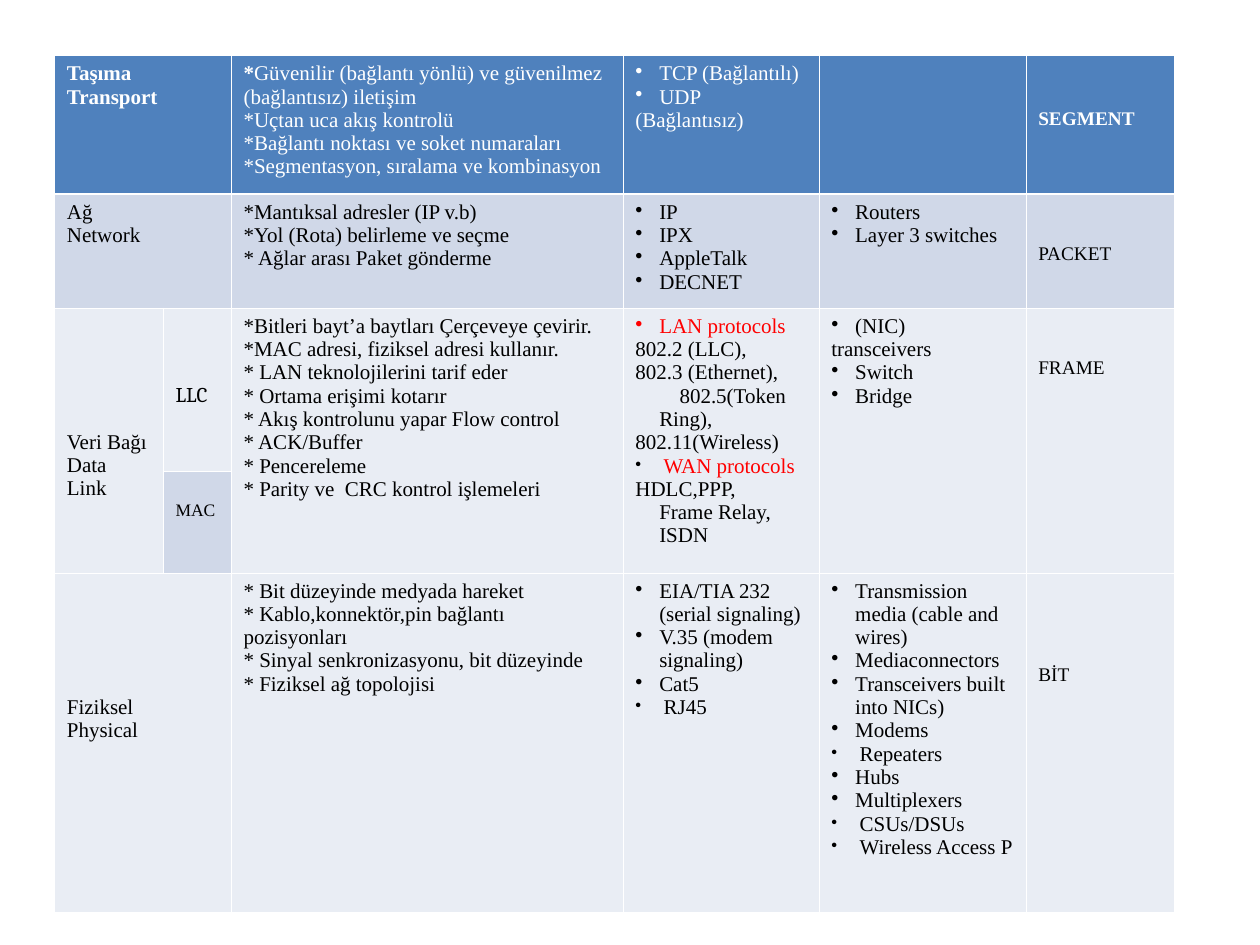
from dataclasses import dataclass
from lxml.etree import SubElement as Sub
from pptx import Presentation as Deck
from pptx.dml.color import RGBColor as Rgb
from pptx.oxml.ns import qn
from pptx.table import Table, _Cell
from pptx.util import Cm, Pt

HUES = {"head": "4F81BD", "band": "D0D8E8", "pale": "E9EDF4",
        "white": "FFFFFF", "black": "000000", "red": "FF0000"}
COLS = [2.19, 1.37, 7.9, 3.95, 4.17, 2.99]
ROWS = [2.79, 2.3, 3.3, 2.04, 6.84]
FILLS = ["head", "band", "pale", "pale", "pale"]
STEP = 0.48


@dataclass
class Line:
    text: str
    left: float = 0
    dent: float = 0
    dot: int = 0
    hue: str = ""
    star: str = ""


@dataclass
class Box:
    row: int
    col: int
    lines: list[Line]
    size: float = 12
    top: float = 0.13
    bold: bool = False
    font: str = "Times New Roman"
    down: int = 1
    wide: int = 1


def plain(*texts: str) -> list[Line]:
    return [Line(text) for text in texts]


def dots(*texts: str, hue: str = "") -> list[Line]:
    return [Line(text, STEP, -STEP, 100, hue) for text in texts]


def small(*texts: str, hue: str = "") -> list[Line]:
    return [Line(text, 0.57, -0.57, 83, hue) for text in texts]


def hang(*texts: str) -> list[Line]:
    return [Line(text, STEP, -STEP) for text in texts]


BOXES = [
    Box(0, 0, plain("Taşıma", "Transport"), bold=True, wide=2),
    Box(0, 2, [Line("Güvenilir (bağlantı yönlü) ve güvenilmez (bağlantısız) iletişim", star="*")]
        + plain("*Uçtan uca akış kontrolü", "*Bağlantı noktası ve soket numaraları",
                "*Segmentasyon, sıralama ve kombinasyon")),
    Box(0, 3, dots("TCP (Bağlantılı)", "UDP") + hang("(Bağlantısız)")),
    Box(0, 5, plain("SEGMENT"), 11, 1.07, True),
    Box(1, 0, plain("Ağ", "Network"), wide=2),
    Box(1, 2, plain("*Mantıksal adresler (IP v.b)", "*Yol (Rota) belirleme ve seçme",
                    "* Ağlar arası Paket gönderme")),
    Box(1, 3, dots("IP", "IPX", "AppleTalk", "DECNET")),
    Box(1, 4, dots("Routers", "Layer 3 switches")),
    Box(1, 5, plain("PACKET"), 11, 0.99),
    Box(2, 0, plain("Veri Bağı", "Data Link"), top=2.47, down=2),
    Box(2, 1, plain("LLC"), top=1.53, font="Cambria"),
    Box(2, 2, plain("*Bitleri bayt’a baytları Çerçeveye çevirir.",
                    "*MAC adresi, fiziksel adresi kullanır.",
                    "* LAN teknolojilerini tarif eder", "* Ortama erişimi kotarır",
                    "* Akış kontrolunu yapar Flow control", "* ACK/Buffer",
                    "* Pencereleme", "* Parity ve  CRC kontrol işlemeleri"), down=2),
    Box(2, 3, dots("LAN protocols", hue="red")
        + hang("802.2 (LLC),", "802.3 (Ethernet),")
        + [Line("802.5(Token Ring),", STEP, 0.41)]
        + hang("802.11(Wireless)")
        + small("WAN protocols", hue="red")
        + hang("HDLC,PPP,") + [Line("Frame Relay, ISDN", STEP)], down=2),
    Box(2, 4, dots("(NIC)") + hang("transceivers") + dots("Switch", "Bridge"), down=2),
    Box(2, 5, plain("FRAME"), 11, 0.99, down=2),
    Box(3, 1, plain("MAC"), 10, 0.6),
    Box(4, 0, plain("Fiziksel", "Physical"), top=2.47, wide=2),
    Box(4, 2, plain("* Bit düzeyinde medyada hareket",
                    "* Kablo,konnektör,pin bağlantı pozisyonları",
                    "* Sinyal senkronizasyonu, bit düzeyinde", "* Fiziksel ağ topolojisi")),
    Box(4, 3, dots("EIA/TIA 232 (serial signaling)", "V.35 (modem signaling)", "Cat5")
        + small("RJ45")),
    Box(4, 4, dots("Transmission media (cable and wires)", "Mediaconnectors",
                   "Transceivers built into NICs)", "Modems")
        + small("Repeaters") + dots("Hubs", "Multiplexers")
        + small("CSUs/DSUs", "Wireless Access P")),
    Box(4, 5, plain("BİT"), 11, 1.85),
]


def edge(cell: _Cell, side: str, width: float) -> None:
    line = Sub(cell._tc.get_or_add_tcPr(), qn(f"a:{side}"), w=str(Pt(width)))
    Sub(Sub(line, qn("a:solidFill")), qn("a:srgbClr"), val=HUES["white"])


def paint(cell: _Cell, row: int, col: int) -> None:
    edge(cell, "lnL", 0.45)
    edge(cell, "lnR", 0.45)
    edge(cell, "lnT", 1.47 if row == 1 else 0.45)
    edge(cell, "lnB", 1.47 if row == 0 else 0.45)
    cell.fill.solid()
    hue = "band" if (row, col) == (3, 1) else FILLS[row]
    cell.fill.fore_color.rgb = Rgb.from_string(HUES[hue])


def write(table: Table, box: Box) -> None:
    cell = table.cell(box.row, box.col)
    if box.down * box.wide > 1:
        cell.merge(table.cell(box.row + box.down - 1, box.col + box.wide - 1))
    cell.margin_left = cell.margin_right = Cm(0.25)
    cell.margin_top, cell.margin_bottom = Cm(box.top), Cm(0.13)
    frame = cell.text_frame
    for rank, line in enumerate(box.lines):
        para = frame.add_paragraph() if rank else frame.paragraphs[0]
        para.text = line.star or line.text
        if line.star:
            para.add_run().text = line.text
        hue = HUES[line.hue or ("white" if box.row == 0 else "black")]
        props = para._p.get_or_add_pPr()
        props.set("marL", str(Cm(line.left)))
        props.set("indent", str(Cm(line.dent)))
        if line.dot:
            tint = HUES["black"] if line.dot < 100 else hue
            Sub(Sub(props, qn("a:buClr")), qn("a:srgbClr"), val=tint)
            Sub(props, qn("a:buSzPct"), val=str(line.dot * 1000))
            Sub(props, qn("a:buChar"), char="•")
        for run in para.runs:
            font = run.font
            font.name, font.size = box.font, Pt(box.size)
            font.bold = box.bold or run.text == line.star
            font.color.rgb = Rgb.from_string(hue)


def main() -> None:
    deck = Deck()
    deck.slide_width, deck.slide_height = Cm(25.4), Cm(19.05)
    slide = deck.slides.add_slide(deck.slide_layouts[6])
    table = slide.shapes.add_table(len(ROWS), len(COLS), Cm(1.1), Cm(1.12),
                                   Cm(sum(COLS)), Cm(sum(ROWS))).table
    table.first_row = table.horz_banding = False
    for col, width in zip(table.columns, COLS):
        col.width = Cm(width)
    for row, height in zip(table.rows, ROWS):
        row.height = Cm(height)
    for row in range(len(ROWS)):
        for col in range(len(COLS)):
            paint(table.cell(row, col), row, col)
    for box in BOXES:
        write(table, box)
    deck.save("out.pptx")


if __name__ == "__main__":
    main()
